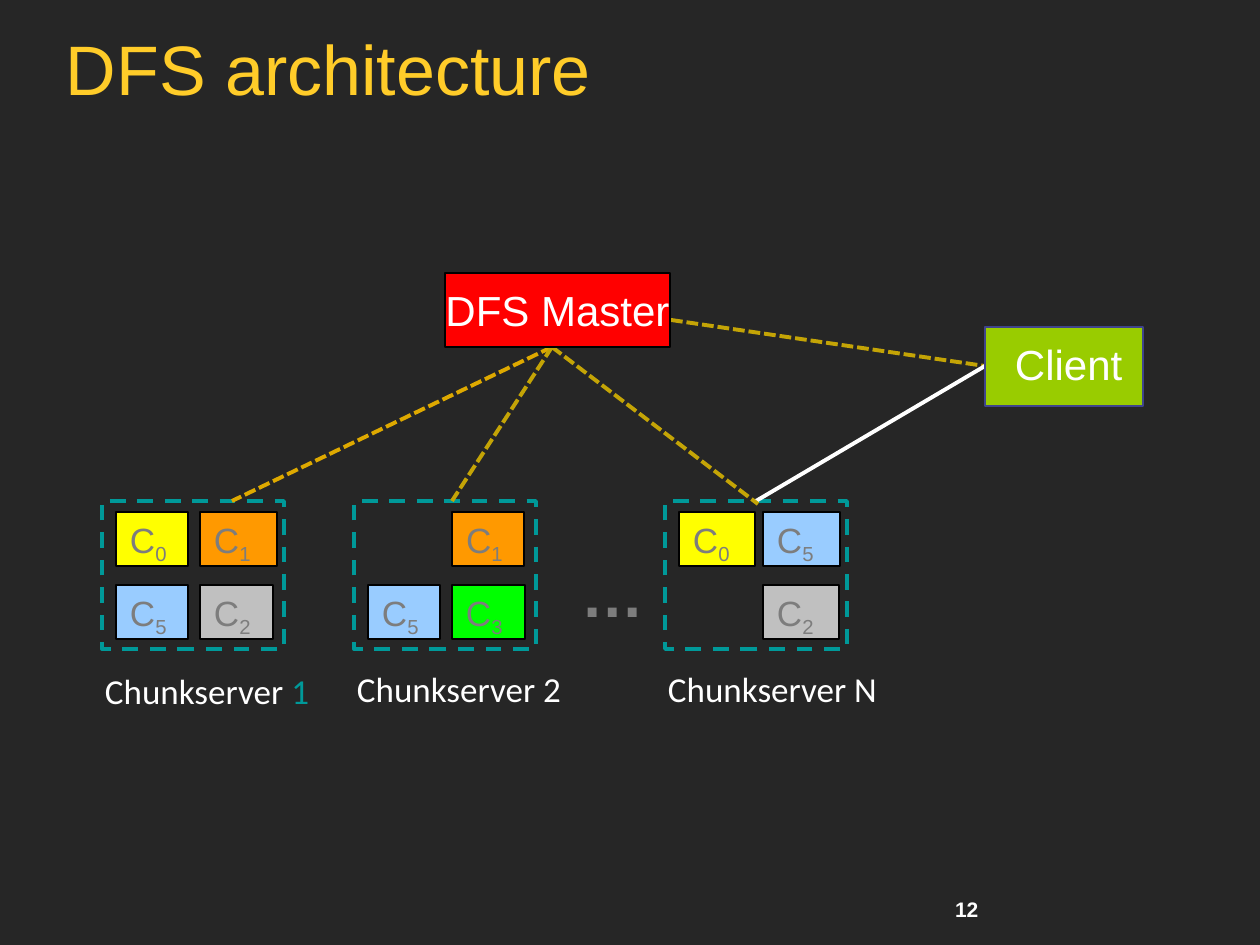
from lxml import etree
from pptx import Presentation
from pptx.dml.color import RGBColor
from pptx.enum.dml import MSO_LINE
from pptx.enum.shapes import MSO_CONNECTOR, MSO_SHAPE
from pptx.enum.text import MSO_ANCHOR, PP_ALIGN
from pptx.oxml.ns import qn
from pptx.util import Emu, Pt

RECTANGLE = MSO_SHAPE.RECTANGLE
STRAIGHT = MSO_CONNECTOR.STRAIGHT
DASH, SHORT_DASH = MSO_LINE.DASH, MSO_LINE.SQUARE_DOT
LEFT, CENTER = PP_ALIGN.LEFT, PP_ALIGN.CENTER
TOP, MIDDLE = MSO_ANCHOR.TOP, MSO_ANCHOR.MIDDLE

EMU_PER_PX = 914400 / 126
WHITE, GRAY, TEAL, GOLD = "FFFFFF", "7D7D7D", "009999", "C4A406"
YELLOW, ORANGE, BLUE, SILVER, GREEN = "FFFF00", "FF9900", "99CCFF", "C0C0C0", "00FF00"
COLUMN_X, ROW_Y, CHUNK_HEIGHT = (14, 98), (11, 84), 54

SERVERS = [
    ((102, 501, 182, 148), [("Chunkserver", WHITE), (" 1", TEAL)], 8,
     [("0", YELLOW, 0, 0, 72), ("1", ORANGE, 1, 0, 77),
      ("5", BLUE, 0, 1, 72), ("2", SILVER, 1, 1, 73)]),
    ((354, 501, 182, 148), [("Chunkserver 2", WHITE)], 6,
     [("1", ORANGE, 1, 0, 72), ("5", BLUE, 0, 1, 72), ("3", GREEN, 1, 1, 73)]),
    ((665, 501, 182, 148), [("Chunkserver N", WHITE)], 6,
     [("0", YELLOW, 0, 0, 76), ("5", BLUE, 1, 0, 77), ("2", SILVER, 1, 1, 76)]),
]

MASTER_FOOT, CLIENT_SIDE = (552, 347), (985, 366)
LINKS = [
    ((671, 320), CLIENT_SIDE, GOLD, SHORT_DASH),
    (MASTER_FOOT, (232, 501), "DEA900", SHORT_DASH),
    (MASTER_FOOT, (452, 501), GOLD, SHORT_DASH),
    (CLIENT_SIDE, (756, 501), WHITE, None),
    (MASTER_FOOT, (758, 504), GOLD, SHORT_DASH),
]


def px(length):
    """Convert px to EMU."""
    return Emu(round(length * EMU_PER_PX))


def color(hex_code):
    """Convert a hex string to a colour."""
    return RGBColor.from_string(hex_code)


def write(shape, parts, size, font="Arial", bold=False, margins=(13, 6, 13, 6),
          align=LEFT, anchor=TOP, wrap=True):
    """Fill a shape with one paragraph of (text, colour) parts and return it."""
    frame = shape.text_frame
    frame.word_wrap = wrap
    frame.vertical_anchor = anchor
    (frame.margin_left, frame.margin_top,
     frame.margin_right, frame.margin_bottom) = map(px, margins)
    paragraph = frame.paragraphs[0]
    paragraph.alignment = align
    for text, hex_code in parts:
        run = paragraph.add_run()
        run.text = text
        run.font.size = Pt(size)
        run.font.name = font
        run.font.bold = bold
        run.font.color.rgb = color(hex_code)
    return paragraph


def add_text(slide, box, parts, size, **style):
    """Add a text box and return its paragraph."""
    return write(slide.shapes.add_textbox(*map(px, box)), parts, size, **style)


def add_block(slide, box, fill, line, width=0.75, dash=None):
    """Add a rectangle with an optional fill."""
    block = slide.shapes.add_shape(RECTANGLE, *map(px, box))
    block.shadow.inherit = False
    if fill:
        block.fill.solid()
        block.fill.fore_color.rgb = color(fill)
    else:
        block.fill.background()
    block.line.color.rgb = color(line)
    block.line.width = Pt(width)
    block.line.dash_style = dash
    return block


def add_link(slide, start, end, hex_code, dash):
    """Add a straight line between two points."""
    link = slide.shapes.add_connector(STRAIGHT, *map(px, start + end))
    link.line.color.rgb = color(hex_code)
    link.line.width = Pt(2.25)
    link.line.dash_style = dash
    etree.SubElement(link._element.spPr, qn("a:effectLst"))


def add_chunk(slide, box, number, fill):
    """Add a chunk labelled C with its number as a subscript."""
    chunk = add_block(slide, box, fill, "000000")
    label = write(chunk, [("C", GRAY), (number, GRAY)], 20, margins=(14, 6, 0, 0))
    label.runs[1]._r.get_or_add_rPr().set("baseline", "-25000")


def add_server(slide, box, name, name_gap, chunks):
    """Add a chunkserver: its chunks on a grid, dashed frame and name."""
    left, top, width, height = box
    for number, fill, column, row, chunk_width in chunks:
        chunk_box = (left + COLUMN_X[column], top + ROW_Y[row], chunk_width, CHUNK_HEIGHT)
        add_chunk(slide, chunk_box, number, fill)
    add_block(slide, box, None, TEAL, 2.25, DASH)
    name_box = (left, top + height + 12, width + 40, 56)
    add_text(slide, name_box, name, 20, font="Calibri", margins=(3, name_gap, 0, 0))


def add_nodes(slide):
    """Add the master and the client."""
    master = add_block(slide, (445, 273, 225, 74), "FF0000", "000000")
    write(master, [("DFS Master", WHITE)], 24, margins=(0, 0, 0, 0),
          align=CENTER, anchor=MIDDLE, wrap=False)
    client = add_block(slide, (985, 327, 158, 79), "99CC00", "3F448C")
    write(client, [("Client", WHITE)], 24, margins=(30, 11, 0, 0))


def build():
    """Build and save the architecture slide."""
    deck = Presentation()
    deck.slide_width, deck.slide_height = px(1260), px(945)
    slide = deck.slides.add_slide(deck.slide_layouts[6])
    slide.background.fill.solid()
    slide.background.fill.fore_color.rgb = color("262626")

    title = add_text(slide, (53, 28, 1157, 89), [("DFS architecture", "FFCC29")], 40,
                     anchor=MIDDLE)
    title.line_spacing = 0.9
    for server in SERVERS:
        add_server(slide, *server)
    add_text(slide, (568, 549, 88, 88), [("…", GRAY)], 36, bold=True)
    for link in LINKS:
        add_link(slide, *link)
    add_nodes(slide)
    add_text(slide, (942, 891, 72, 38), [("12", WHITE)], 12, bold=True)
    deck.save("out.pptx")


if __name__ == "__main__":
    build()
